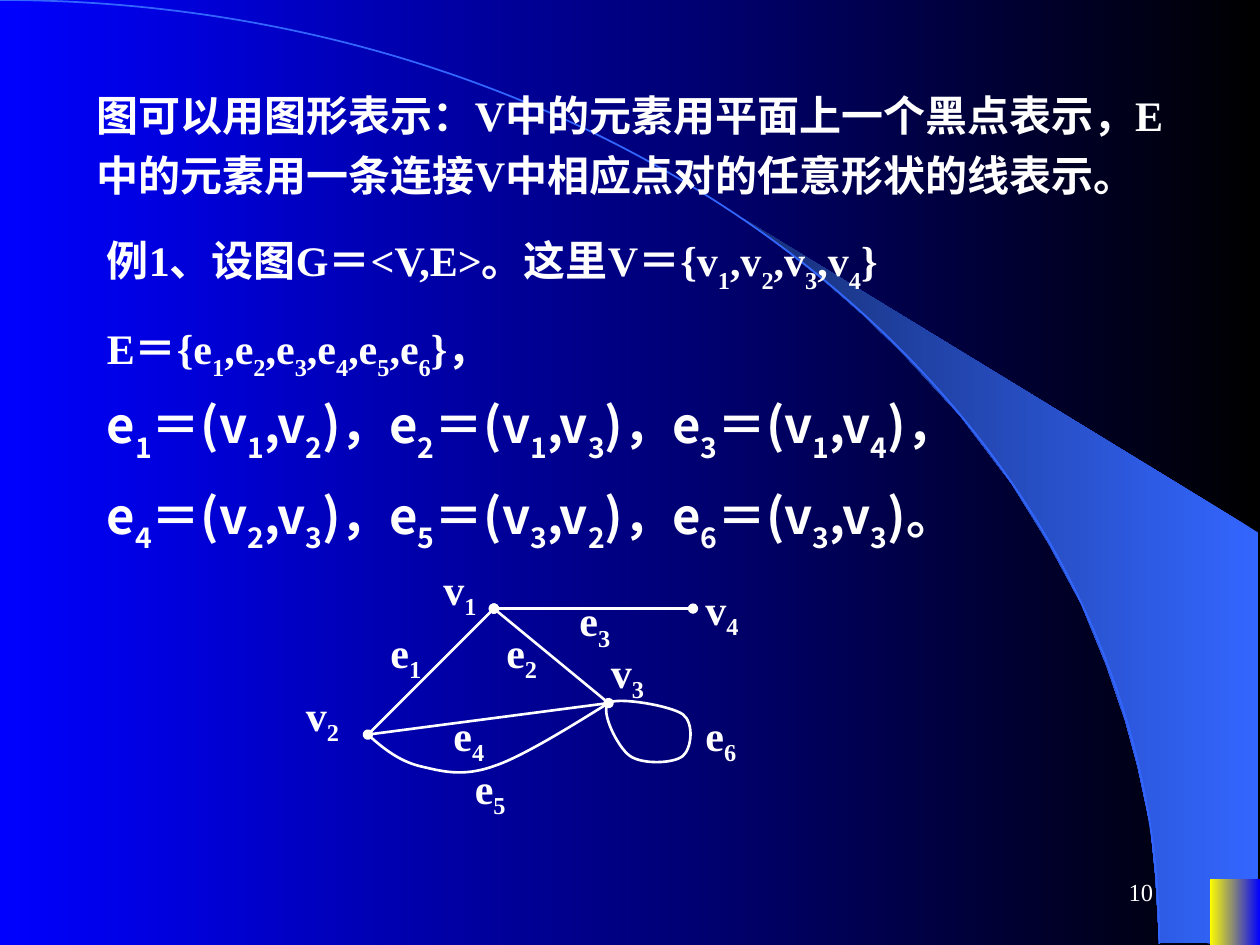
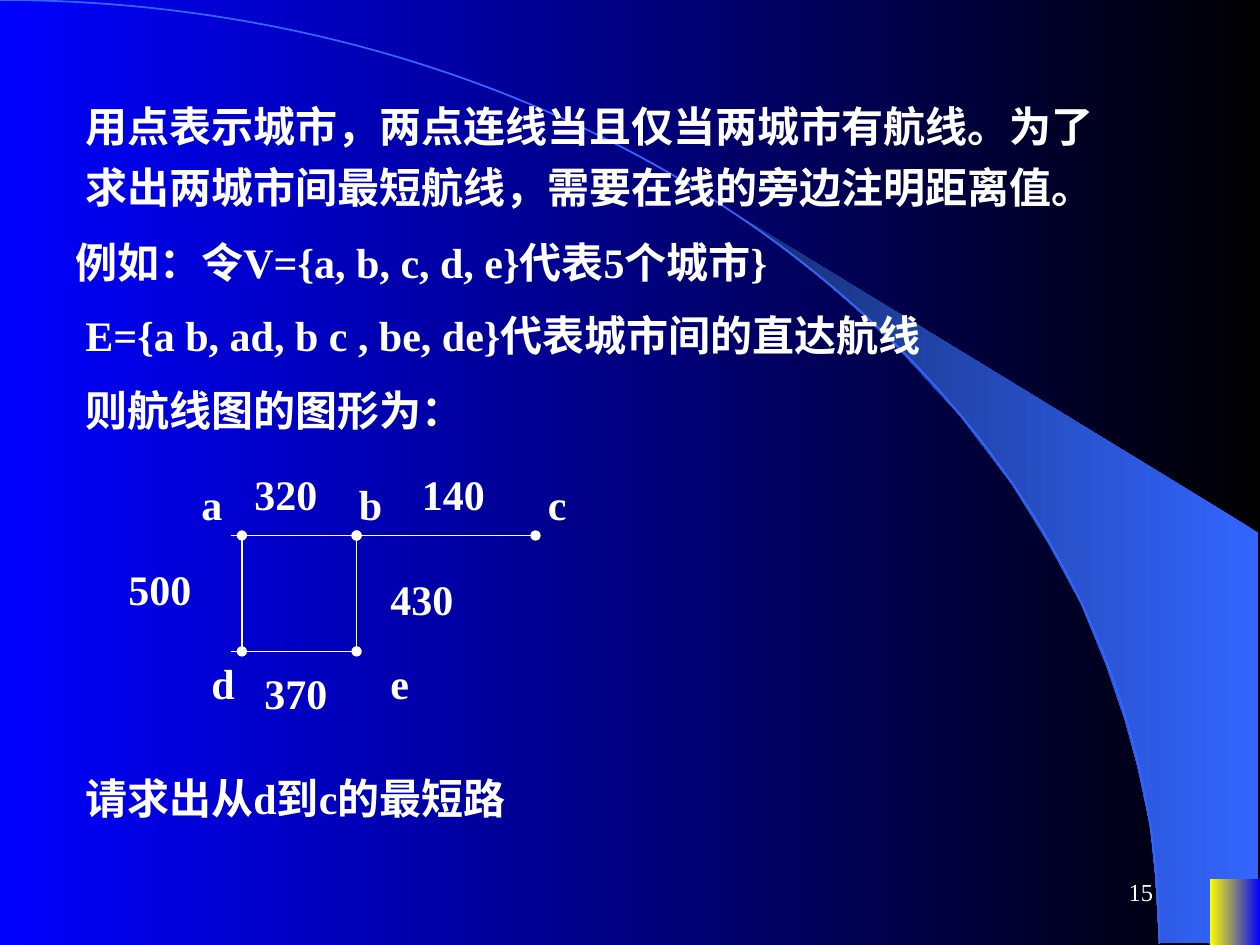
"""Build two lecture slides on drawing graphs: edges as lines and air routes."""
from dataclasses import dataclass

from pptx import Presentation
from pptx.dml.color import RGBColor
from pptx.enum.shapes import MSO_CONNECTOR, MSO_SHAPE
from pptx.enum.text import MSO_ANCHOR, MSO_AUTO_SIZE, PP_ALIGN
from pptx.oxml.ns import qn
from pptx.oxml.xmlchemy import OxmlElement
from pptx.util import Inches, Pt


@dataclass(frozen=True)
class Theme:
    """Colours, fonts and type sizes of the slides."""
    text: RGBColor = RGBColor(0xFF, 0xFF, 0xFF)
    black: RGBColor = RGBColor(0, 0, 0)
    blue: RGBColor = RGBColor(0, 0, 0xFF)
    arc: RGBColor = RGBColor(0x33, 0x66, 0xFF)
    arc_dark: RGBColor = RGBColor(0x17, 0x2F, 0x75)
    yellow: RGBColor = RGBColor(0xFF, 0xFF, 0)
    latin: str = "Times New Roman"
    cjk: str = "Noto Sans CJK SC"
    body: int = 24
    large: int = 28
    page: int = 14


T = Theme()
BODY = {"line_spacing": 1.2}
SWEEP = [(9.2, 7.48), (9.99, 7.49), (9.99, 4.23), (5.89, 1.73), (6.24, 1.99),
         (6.53, 2.22), (6.85, 2.5), (7.16, 2.8), (7.62, 3.3), (8.03, 3.84),
         (8.32, 4.31), (8.58, 4.79), (8.78, 5.28), (8.93, 5.72), (9.03, 6.09),
         (9.13, 6.56), (9.17, 6.96)]


def set_all(obj, formats):
    """Set every attribute named in a dict of format values."""
    for name, value in formats.items():
        setattr(obj, name, value)


def set_gradient(fill, start, end):
    """Fill with a gradient running from right to left."""
    fill.gradient()
    fill.gradient_angle = 180
    for stop, colour in zip(fill.gradient_stops, (start, end)):
        stop.color.rgb = colour


def add_run(p, text, font, baseline=0):
    """Add a run, lowered by baseline percent when that is not zero."""
    r = p.add_run()
    r.text = text
    set_all(r.font, font)
    r.font.color.rgb = T.text
    rPr = r._r.get_or_add_rPr()
    if baseline:
        rPr.set("baseline", str(baseline * 1000))
    ea = OxmlElement("a:ea")
    ea.set("typeface", T.cjk)
    rPr.find(qn("a:latin")).addnext(ea)


def add_text(s, box, lines, para=None, hang=0, sub=-30, gap=0, anchor=None, **font):
    """Add a text box; an underscore lowers the character after it."""
    tf = s.shapes.add_textbox(*map(Inches, box)).text_frame
    set_all(tf, {"word_wrap": True, "vertical_anchor": anchor,
                 "auto_size": MSO_AUTO_SIZE.NONE if anchor else MSO_AUTO_SIZE.SHAPE_TO_FIT_TEXT})
    font = {"name": T.latin, "size": Pt(T.body), "bold": True, **font}
    for i, line in enumerate(lines):
        p = tf.add_paragraph() if i else tf.paragraphs[0]
        set_all(p, para or {})
        if gap and i:
            p.space_before = Pt(gap)
        if hang:
            pPr = p._p.get_or_add_pPr()
            pPr.set("marL", str(Inches(hang)))
            pPr.set("indent", str(-Inches(hang)))
        first, *rest = line.split("_")
        if first:
            add_run(p, first, font)
        for part in rest:
            add_run(p, part[0], font, sub)
            if part[1:]:
                add_run(p, part[1:], font)


def add_labels(s, width, height, labels):
    """Add equal-sized diagram labels from (text, left, top) entries."""
    for text, left, top in labels:
        add_text(s, (left, top, width, height), [text], sub=-25)


def add_edge(s, start, end, weight, dots=True):
    """Add a straight edge, with a dot at both ends if wanted."""
    line = s.shapes.add_connector(MSO_CONNECTOR.STRAIGHT, *map(Inches, start + end))
    line.line.color.rgb = T.text
    line.line.width = Pt(weight)
    for tag in ("a:headEnd", "a:tailEnd") if dots else ():
        dot = OxmlElement(tag)
        dot.set("type", "oval")
        line.line._get_or_add_ln().append(dot)
    line.element.spPr.append(OxmlElement("a:effectLst"))


def add_outline(s, points, close=False):
    """Add a freeform through the given points."""
    start, *rest = [tuple(map(Inches, point)) for point in points]
    builder = s.shapes.build_freeform(*start, scale=1.0)
    builder.add_line_segments(rest, close=close)
    sp = builder.convert_to_shape()
    sp.shadow.inherit = False
    return sp


def add_curve(s, points, colour, weight):
    """Add an unfilled Bezier curve: a start, then three points per segment."""
    sp = add_outline(s, points)
    sp.fill.background()
    sp.line.color.rgb = colour
    sp.line.width = Pt(weight)
    path = sp.element.xpath(".//a:path")[0]
    steps = path.findall(qn("a:lnTo"))
    for i in range(0, len(steps), 3):
        bezier = OxmlElement("a:cubicBezTo")
        steps[i].addprevious(bezier)
        for step in steps[i:i + 3]:
            bezier.append(step[0])
            path.remove(step)
    return sp


def decorate_layout(layout, s):
    """Give the layout its background, sweep, arc and corner block."""
    for ph in list(layout.placeholders):
        ph.element.getparent().remove(ph.element)
    set_gradient(layout.background.fill, T.black, T.blue)
    sweep = add_outline(s, SWEEP, close=True)
    set_gradient(sweep.fill, T.arc, T.arc_dark)
    arc = add_curve(s, [(0, 0), (5.08, 0), (9.2, 3.35), (9.2, 7.49)], T.arc, 1)
    corner = s.shapes.add_shape(MSO_SHAPE.RECTANGLE, *map(Inches, (9.6, 6.98, 0.4, 0.52)))
    corner.shadow.inherit = False
    set_gradient(corner.fill, T.blue, T.yellow)
    for sp in (sweep, corner):
        sp.line.fill.background()
    for sp in (sweep, arc, corner):
        layout.shapes.element.append(sp.element)


def add_page_number(s, number):
    """Add the page number at the lower right."""
    add_text(s, (7.17, 6.83, 2.08, 0.5), [number], {"alignment": PP_ALIGN.RIGHT},
             anchor=MSO_ANCHOR.MIDDLE, size=Pt(T.page), bold=False)


def build_graph_slide(s):
    """Show a graph with four vertices and six edges."""
    add_text(s, (0.67, 0.58, 9, 1.06),
             ["图可以用图形表示：V中的元素用平面上一个黑点表示，E",
              "中的元素用一条连接V中相应点对的任意形状的线表示。"], BODY, hang=0.5)
    add_text(s, (0.75, 1.67, 9.25, 1.41),
             ["例1、设图G＝<V,E>。这里V＝{v_1,v_2,v_3,v_4}",
              "E＝{e_1,e_2,e_3,e_4,e_5,e_6}，"],
             {"line_spacing": 1.3}, hang=0.38, gap=6)
    add_text(s, (0.75, 2.92, 8.5, 1.53),
             ["e_1＝(v_1,v_2)，e_2＝(v_1,v_3)，e_3＝(v_1,v_4)，",
              "e_4＝(v_2,v_3)，e_5＝(v_3,v_2)，e_6＝(v_3,v_3)。"],
             {"line_spacing": 1.3, "alignment": PP_ALIGN.JUSTIFY}, hang=0.38,
             name=T.cjk, size=Pt(T.large))
    v1, v2, v3, v4 = (3.92, 4.83), (2.92, 5.83), (4.83, 5.58), (5.5, 4.83)
    for end in (v2, v3, v4):
        add_edge(s, v1, end, 1.5)
    add_edge(s, v2, v3, 1.5, dots=False)
    add_curve(s, [v2, (3.04, 5.94), (3.17, 6.04), (3.33, 6.08), (3.5, 6.12),
                  (3.67, 6.17), (3.92, 6.08), (4.17, 6), (4.68, 5.67), v3], T.text, 1.5)
    add_curve(s, [v3, (4.9, 5.53), (5.32, 5.6), (5.42, 5.67), (5.51, 5.74),
                  (5.49, 5.94), (5.42, 6), (5.35, 6.06), (5.1, 6.07), (5, 6),
                  (4.9, 5.93), (4.76, 5.64), v3], T.text, 1.5)
    add_labels(s, 0.77, 0.56, [("v_1", 3.42, 4.42), ("v_2", 2.33, 5.42),
                               ("v_3", 4.75, 5.08), ("v_4", 5.5, 4.58)])
    add_labels(s, 0.6, 0.56, [("e_1", 3, 4.92), ("e_2", 3.92, 4.92), ("e_3", 4.5, 4.67),
                              ("e_4", 3.5, 5.58), ("e_5", 3.67, 6), ("e_6", 5.5, 5.58)])
    add_page_number(s, "10")


def build_route_slide(s):
    """Show five cities joined by air routes with distances."""
    add_text(s, (0.58, 0.67, 9.08, 1.06),
             ["用点表示城市，两点连线当且仅当两城市有航线。为了",
              "求出两城市间最短航线，需要在线的旁边注明距离值。"], BODY, hang=0.5)
    for left, top, width, line in (
            (0.5, 1.75, 9.5, "例如：令V={a, b, c, d, e}代表5个城市}"),
            (0.58, 2.33, 8.92, "E={a b, ad, b c , be, de}代表城市间的直达航线"),
            (0.58, 2.92, 9, "则航线图的图形为："),
            (0.58, 6, 9, "请求出从d到c的最短路")):
        add_text(s, (left, top, width, 0.58), [line], BODY, hang=0.5)
    a, b, c, d, e = (1.92, 4.25), (2.83, 4.25), (4.25, 4.25), (1.92, 5.17), (2.83, 5.17)
    for end in (b, e):
        add_edge(s, (1.83, end[1]), end, 0.75, dots=False)
    for start, end in ((a, d), (b, e), (b, c)):
        add_edge(s, start, end, 0.75)
    add_labels(s, 0.52, 0.5, [("a", 1.5, 3.75), ("b", 2.75, 3.75), ("c", 4.25, 3.75),
                              ("d", 1.58, 5.17), ("e", 3, 5.17)])
    add_labels(s, 0.85, 0.5, [("500", 0.92, 4.42), ("320", 1.92, 3.67), ("140", 3.25, 3.67),
                              ("430", 3, 4.5), ("370", 2, 5.25)])
    add_page_number(s, "15")


def main():
    """Build and save the presentation."""
    prs = Presentation()
    prs.slide_width, prs.slide_height = Inches(10), Inches(7.5)
    layout = prs.slide_layouts[6]
    graph, routes = [prs.slides.add_slide(layout) for _ in range(2)]
    decorate_layout(layout, graph)
    build_graph_slide(graph)
    build_route_slide(routes)
    prs.save("out.pptx")


if __name__ == "__main__":
    main()
